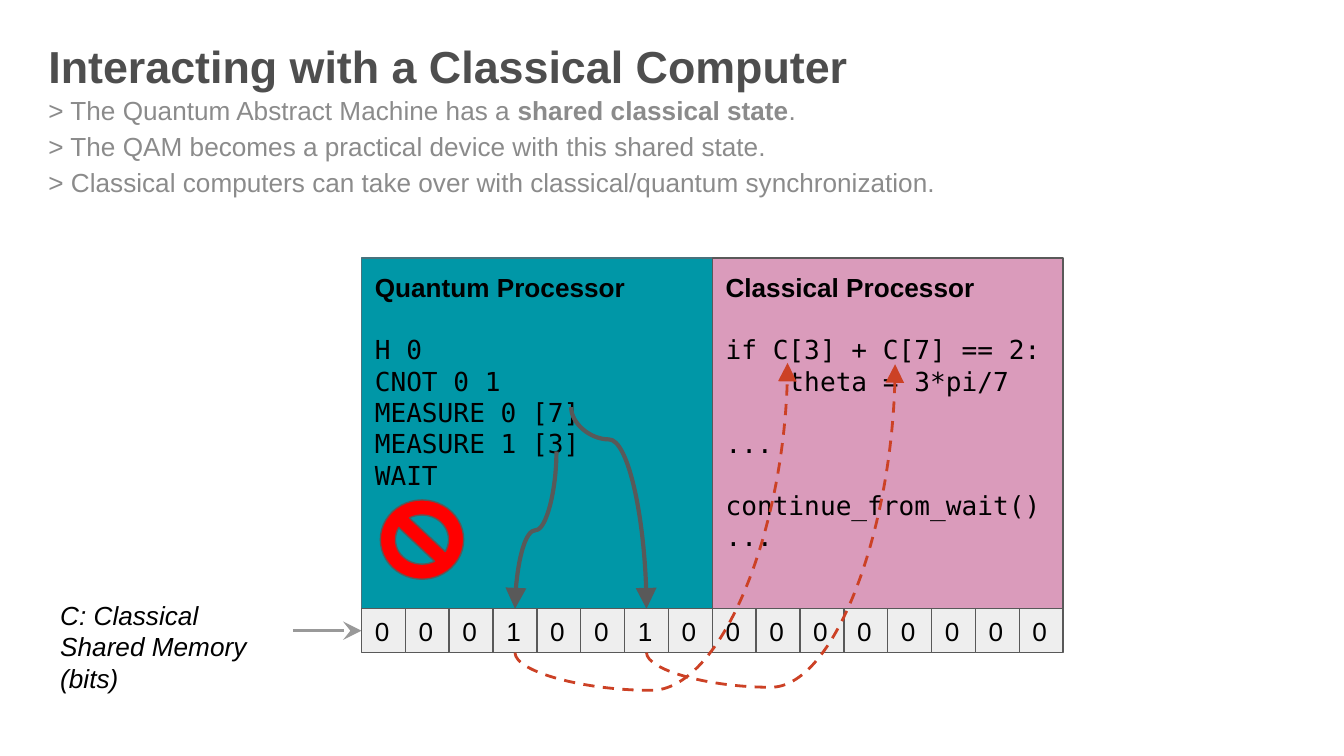
"""Builds a slide on how a quantum and a classical processor share memory."""
from lxml.etree import SubElement
from pptx import Presentation
from pptx.dml.color import RGBColor
from pptx.enum.dml import MSO_LINE
from pptx.enum.shapes import MSO_CONNECTOR, MSO_SHAPE
from pptx.enum.text import MSO_ANCHOR, MSO_AUTO_SIZE, PP_ALIGN
from pptx.oxml.ns import qn
from pptx.util import Inches, Pt

COLORS = {
    "title": "4E4E4E", "body": "8B8B8B", "text": "000000",
    "quantum": "0097A7", "quantum_edge": "48737E", "classical": "B9407D",
    "memory": "EEEEEE", "edge": "595959", "stop": "FF0000",
    "pointer": "999999", "read": "CC4125",
}
SANS, MONO = "Arial", "DejaVu Sans Mono"
WIDTH = 10
HEIGHT = WIDTH * 9 / 16
LEFT, TOP = 2.69, 1.92
PANEL = 2.61
CELL = PANEL / 8
MEMORY_TOP = TOP + PANEL
BITS = "0001001000000000"
BULLETS = [
    [("> The Quantum Abstract Machine has a ", False),
     ("shared classical state", True), (".", False)],
    [("> The QAM becomes a practical device with this shared state.", False)],
    [("> Classical computers can take over with classical/quantum "
      "synchronization.", False)],
]
QUANTUM_BLOCKS = [["H 0", "CNOT 0 1", "MEASURE 0 [7]", "MEASURE 1 [3]", "WAIT"]]
CLASSICAL_BLOCKS = [
    ["if C[3] + C[7] == 2:", "    theta = 3*pi/7"],
    ["..."],
    ["continue_from_wait()", "..."],
]


def rgb(name):
    """Return a named colour."""
    return RGBColor.from_string(COLORS[name])


def column(count):
    """Return the x position after a number of memory cells."""
    return LEFT + count * CELL


def place(item, left, top, width, height):
    """Move and size an item, in inches."""
    item.left, item.top = Inches(left), Inches(top)
    item.width, item.height = Inches(width), Inches(height)


def set_frame(frame, anchor=MSO_ANCHOR.TOP):
    """Give a text frame equal insets, wrapping and an anchor."""
    frame.word_wrap = True
    frame.auto_size = MSO_AUTO_SIZE.NONE
    frame.vertical_anchor = anchor
    frame.margin_left = frame.margin_right = Inches(0.1)
    frame.margin_top = frame.margin_bottom = Inches(0.1)


def style(span, color="text", size=14, face=SANS, bold=False, italic=False):
    """Format one run."""
    span.font.name, span.font.size = face, Pt(size)
    span.font.bold, span.font.italic = bold, italic
    span.font.color.rgb = rgb(color)


def add_para(frame, index):
    """Return the first paragraph or append another, left aligned."""
    para = frame.add_paragraph() if index else frame.paragraphs[0]
    para.alignment = PP_ALIGN.LEFT
    return para


def fill_title(page):
    """Place and format the title."""
    title = page.shapes.title
    place(title, 0.26, 0.19, 8.64, 0.53)
    set_frame(title.text_frame)
    title.text_frame.text = "Interacting with a Classical Computer"
    para = add_para(title.text_frame, 0)
    style(para.runs[0], "title", 24, bold=True)


def fill_body(page):
    """Place and format the list below the title."""
    body = page.placeholders[1]
    place(body, 0.26, 0.57, 8.64, 0.75)
    set_frame(body.text_frame)
    for index, parts in enumerate(BULLETS):
        para = add_para(body.text_frame, index)
        properties = para._p.get_or_add_pPr()
        properties.set("marL", "0")
        properties.set("indent", "0")
        para.line_spacing = 1.15
        para.space_before = para.space_after = Pt(0)
        SubElement(properties, qn("a:buNone"))
        for text, bold in parts:
            span = para.add_run()
            span.text = text
            style(span, "body", bold=bold)


def add_block(page, kind, bounds, fill, edge="edge"):
    """Add a filled and outlined preset shape."""
    block = page.shapes.add_shape(kind, *map(Inches, bounds))
    block.shadow.inherit = False
    block.fill.solid()
    block.fill.fore_color.rgb = rgb(fill)
    block.line.color.rgb = rgb(edge)
    block.line.width = Pt(0.75)
    return block


def add_panel(page, left, heading, code_blocks, fill, edge="edge"):
    """Add a processor panel with a heading and blocks of code."""
    panel = add_block(page, MSO_SHAPE.RECTANGLE, (left, TOP, PANEL, PANEL), fill, edge)
    frame = panel.text_frame
    set_frame(frame)
    frame.text = heading
    style(add_para(frame, 0).runs[0], bold=True)
    for code in code_blocks:
        for index, line in enumerate(code):
            para = add_para(frame, 1)
            para.text = line
            para.space_before = Pt(0 if index else 16.5)
            style(para.runs[0], face=MONO)
    return panel


def set_opacity(block, percent):
    """Make the solid fill of a shape partly transparent."""
    color = block._element.spPr.find(qn("a:solidFill"))[0]
    SubElement(color, qn("a:alpha")).set("val", str(percent * 1000))


def add_memory(page):
    """Add the row of shared memory cells."""
    for index, bit in enumerate(BITS):
        bounds = (column(index), MEMORY_TOP, CELL, CELL)
        cell = add_block(page, MSO_SHAPE.RECTANGLE, bounds, "memory")
        set_frame(cell.text_frame, MSO_ANCHOR.MIDDLE)
        cell.text_frame.text = bit
        style(add_para(cell.text_frame, 0).runs[0])


def add_label(page):
    """Add the caption of the memory row."""
    box = page.shapes.add_textbox(*map(Inches, (0.35, 4.36, 1.83, 0.67)))
    set_frame(box.text_frame)
    box.text_frame.text = "C: Classical Shared Memory (bits)"
    style(add_para(box.text_frame, 0).runs[0], italic=True)


def add_arrow(page, kind, start, end, color, width, head="triangle"):
    """Add a connector with a large arrowhead at its end."""
    arrow = page.shapes.add_connector(kind, *map(Inches, (*start, *end)))
    arrow.line.color.rgb = rgb(color)
    arrow.line.width = Pt(width)
    SubElement(arrow.line._get_or_add_ln(), qn("a:tailEnd"), type=head, w="lg", len="lg")
    SubElement(arrow._element.spPr, qn("a:effectLst"))
    return arrow


def add_curve(page, start, end, bend, color, width):
    """Add a curve that leaves and arrives vertically, turned about its middle."""
    (x1, y1), (x2, y2) = start, end
    middle_x, middle_y = (x1 + x2) / 2, (y1 + y2) / 2
    half_length, half_breadth = abs(y2 - y1) / 2, abs(x2 - x1) / 2
    down, right = y2 > y1, x2 > x1
    side = -1 if down and right else 1
    curve = add_arrow(
        page, MSO_CONNECTOR.CURVE,
        (middle_x - side * half_length, middle_y - half_breadth),
        (middle_x + side * half_length, middle_y + half_breadth), color, width)
    properties = curve._element.spPr
    turn = 270 if right else 90
    properties.find(qn("a:xfrm")).set("rot", str(turn * 60000))
    guides = properties.find(qn("a:prstGeom")).find(qn("a:avLst"))
    SubElement(guides, qn("a:gd"), name="adj1", fmla=f"val {round(bend * 100000)}")
    return curve


def main():
    """Build and save the slide."""
    deck = Presentation()
    deck.slide_width, deck.slide_height = Inches(WIDTH), Inches(HEIGHT)
    page = deck.slides.add_slide(deck.slide_layouts[1])
    fill_title(page)
    fill_body(page)
    add_panel(page, LEFT, "Quantum Processor", QUANTUM_BLOCKS, "quantum", "quantum_edge")
    add_label(page)
    row_middle = MEMORY_TOP + CELL / 2
    add_arrow(page, MSO_CONNECTOR.STRAIGHT, (2.18, row_middle), (LEFT, row_middle),
              "pointer", 1.5, "stealth")
    third, sixth = column(3.5), column(6.5)
    add_curve(page, (4.25, 3.03), (sixth, MEMORY_TOP), 0.16, "edge", 2.25)
    add_curve(page, (4.14, 3.36), (third, MEMORY_TOP), 0.5, "edge", 2.25)
    classical = add_panel(page, column(8), "Classical Processor", CLASSICAL_BLOCKS, "classical")
    set_opacity(classical, 52)
    stop = add_block(page, MSO_SHAPE.NO_SYMBOL, (2.83, 3.72, 0.62, 0.59), "stop")
    stop.adjustments[0] = 0.19
    add_memory(page)
    memory_bottom = MEMORY_TOP + CELL
    for x, target, bend in ((sixth, (6.66, 2.71), -0.12), (third, (5.86, 2.7), -0.13)):
        curve = add_curve(page, (x, memory_bottom), target, bend, "read", 1.5)
        curve.line.dash_style = MSO_LINE.DASH
    deck.save("out.pptx")


if __name__ == "__main__":
    main()
